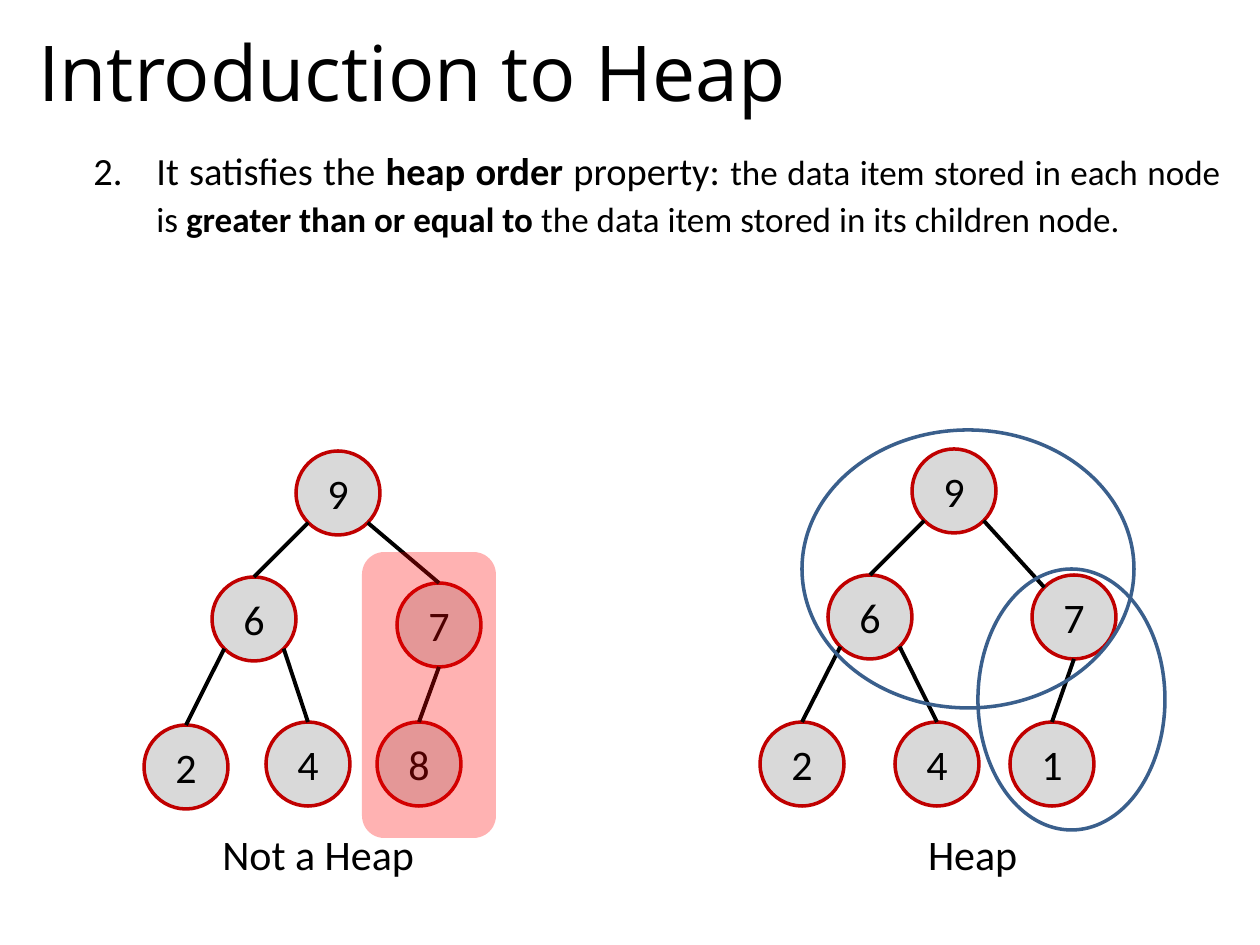
from math import sqrt

from lxml import etree
from pptx import Presentation
from pptx.dml.color import RGBColor
from pptx.enum.shapes import MSO_CONNECTOR, MSO_SHAPE
from pptx.enum.text import MSO_ANCHOR as Anchor, PP_ALIGN as Align
from pptx.oxml.ns import qn
from pptx.util import Emu, Pt

BLACK = RGBColor(0x00, 0x00, 0x00)
GRAY = RGBColor(0xD9, 0xD9, 0xD9)
DARK_RED = RGBColor(0xC0, 0x00, 0x00)
RED = RGBColor(0xFF, 0x00, 0x00)
BLUE = RGBColor(0x3A, 0x5F, 0x8C)

PX_PER_INCH = 126
NODE_SIZE = 84
RADIUS = NODE_SIZE / 2
DIAGONAL = RADIUS / sqrt(2)

# Points on a node's rim, as offsets from its centre
RIM = {
    "top": (0, -RADIUS),
    "bottom": (0, RADIUS),
    "top left": (-DIAGONAL, -DIAGONAL),
    "bottom left": (-DIAGONAL, DIAGONAL),
    "bottom right": (DIAGONAL, DIAGONAL),
}

# Each tree: node centres by value, then edges as (parent, rim, child, rim)
NOT_HEAP_NODES = {
    "9": (338, 493), "6": (254, 619), "7": (439, 625),
    "2": (186, 767), "4": (308, 764), "8": (419, 764),
}
HEAP_NODES = {
    "9": (954, 491), "6": (870, 617), "7": (1074, 617),
    "2": (802, 764), "4": (937, 764), "1": (1052, 764),
}
SHARED_EDGES = [
    ("9", "bottom left", "6", "top"),
    ("6", "bottom left", "2", "top"),
    ("6", "bottom right", "4", "top"),
]
NOT_HEAP_EDGES = SHARED_EDGES + [
    ("9", "bottom right", "7", "top"), ("7", "bottom", "8", "top")]
HEAP_EDGES = SHARED_EDGES + [
    ("9", "bottom right", "7", "top left"), ("7", "bottom", "1", "top")]


def px(value):
    return Emu(round(value * 914400 / PX_PER_INCH))


def write_text(shape, runs, size=24, font="Calibri", align=Align.LEFT,
               anchor=Anchor.TOP, wrap=True):
    """Fill the first paragraph; runs is a string or (text, size, bold) tuples."""
    frame = shape.text_frame
    frame.word_wrap = wrap
    frame.vertical_anchor = anchor
    paragraph = frame.paragraphs[0]
    paragraph.alignment = align
    if isinstance(runs, str):
        runs = [(runs, size, False)]
    for text, run_size, bold in runs:
        run = paragraph.add_run()
        run.text = text
        run.font.name = font
        run.font.size = Pt(run_size)
        run.font.bold = bold
        run.font.color.rgb = BLACK
    return paragraph


def add_text(slide, box, runs, **text_format):
    shape = slide.shapes.add_textbox(*map(px, box))
    return write_text(shape, runs, **text_format)


def number_paragraph(paragraph, start, margin, indent):
    properties = paragraph._p.get_or_add_pPr()
    properties.set("marL", str(px(margin)))
    properties.set("indent", str(px(indent)))
    etree.SubElement(properties, qn("a:buFont"), typeface="+mj-lt")
    etree.SubElement(properties, qn("a:buAutoNum"),
                     type="arabicPeriod", startAt=str(start))


def add_shape(slide, kind, box, fill=None, line=None, opacity=None):
    shape = slide.shapes.add_shape(kind, *map(px, box))
    shape.shadow.inherit = False
    if fill is None:
        shape.fill.background()
    else:
        shape.fill.solid()
        shape.fill.fore_color.rgb = fill
    if opacity is not None:
        color = shape._element.spPr.find(".//" + qn("a:srgbClr"))
        etree.SubElement(color, qn("a:alpha"), val=str(opacity * 1000))
    if line is None:
        shape.line.fill.background()
    else:
        shape.line.color.rgb = line
        shape.line.width = Pt(2)
    return shape


def add_node(slide, value, center):
    x, y = center
    box = (x - RADIUS, y - RADIUS, NODE_SIZE, NODE_SIZE)
    node = add_shape(slide, MSO_SHAPE.OVAL, box, fill=GRAY, line=DARK_RED)
    write_text(node, value, align=Align.CENTER, anchor=Anchor.MIDDLE)


def add_edge(slide, start, end):
    edge = slide.shapes.add_connector(
        MSO_CONNECTOR.STRAIGHT, *map(px, start + end))
    edge.line.color.rgb = BLACK
    edge.line.width = Pt(2.25)
    etree.SubElement(edge._element.spPr, qn("a:effectLst"))


def rim_point(center, rim):
    return tuple(c + offset for c, offset in zip(center, RIM[rim]))


def add_tree(slide, nodes, edges):
    for value, center in nodes.items():
        add_node(slide, value, center)
    for parent, parent_rim, child, child_rim in edges:
        add_edge(slide, rim_point(nodes[parent], parent_rim),
                 rim_point(nodes[child], child_rim))


def main():
    presentation = Presentation()
    presentation.slide_width = px(1260)
    presentation.slide_height = px(945)
    slide = presentation.slides.add_slide(presentation.slide_layouts[6])

    add_text(slide, (26, 15, 1207, 111), "Introduction to Heap",
             size=44, font="Open Sans", anchor=Anchor.MIDDLE)
    rule = add_text(slide, (26, 136, 1207, 735), [
        ("It satisfies the ", 22, False),
        ("heap order ", 22, True),
        ("property: ", 22, False),
        ("the data item stored in each node is ", 20, False),
        ("greater than or equal to ", 20, True),
        ("the data item stored in its children node.", 20, False),
    ], align=Align.JUSTIFY)
    rule.line_spacing = 1.1
    rule.space_after = Pt(6)
    number_paragraph(rule, start=2, margin=118, indent=-63)

    add_tree(slide, NOT_HEAP_NODES, NOT_HEAP_EDGES)
    add_text(slide, (210, 822, 236, 63), "Not a Heap")
    add_tree(slide, HEAP_NODES, HEAP_EDGES)
    add_text(slide, (915, 822, 125, 63), "Heap ", align=Align.CENTER)

    add_shape(slide, MSO_SHAPE.ROUNDED_RECTANGLE, (362, 552, 134, 286),
              fill=RED, opacity=30)
    for box in [(802, 430, 332, 278), (978, 569, 187, 261)]:
        add_shape(slide, MSO_SHAPE.OVAL, box, line=BLUE)

    presentation.save("out.pptx")


if __name__ == "__main__":
    main()
